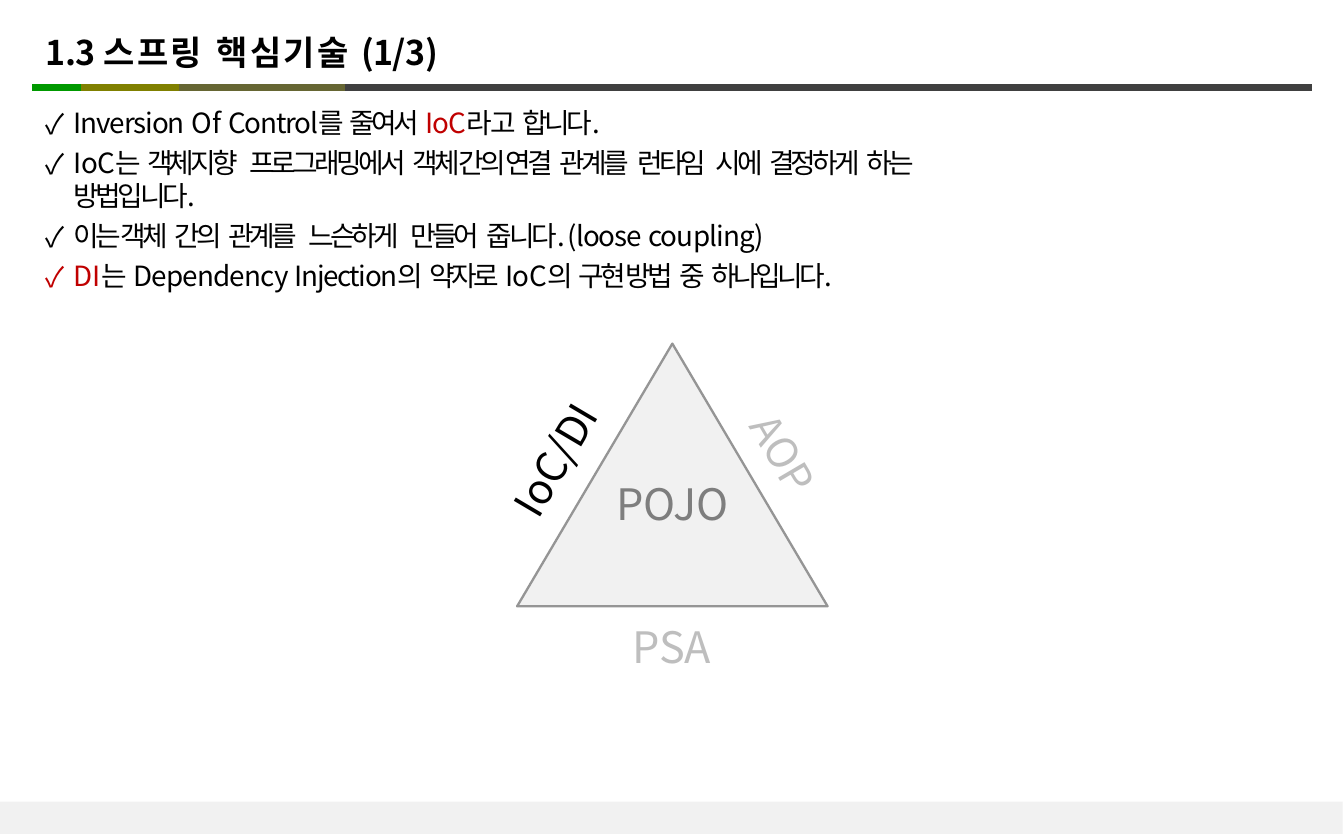
from dataclasses import dataclass
from itertools import pairwise

from lxml import etree
from pptx import Presentation
from pptx.dml.color import RGBColor
from pptx.enum.shapes import MSO_CONNECTOR, MSO_SHAPE
from pptx.enum.text import MSO_ANCHOR, PP_ALIGN
from pptx.oxml.ns import qn
from pptx.util import Cm, Pt

STRAIGHT = MSO_CONNECTOR.STRAIGHT
RECTANGLE = MSO_SHAPE.RECTANGLE
TRIANGLE = MSO_SHAPE.ISOSCELES_TRIANGLE
LEFT, CENTER = PP_ALIGN.LEFT, PP_ALIGN.CENTER
TOP, MIDDLE = MSO_ANCHOR.TOP, MSO_ANCHOR.MIDDLE


@dataclass(frozen=True)
class Theme:
    font: str = "Noto Sans CJK KR"
    text: str = "000000"
    accent: str = "C00000"
    panel: str = "F1F1F1"
    outline: str = "959595"
    core: str = "7E7E7E"
    muted: str = "BEBEBE"
    rule: tuple[str, ...] = ("009900", "808000", "666633", "404040")
    title_size: float = 22
    body_size: float = 18
    label_size: float = 28
    side_size: float = 27


THEME = Theme()


@dataclass(frozen=True)
class Span:
    """Text with letter spacing; gap is the letter spacing of its last space."""
    text: str
    spacing: float = 0
    color: str = THEME.text
    gap: float = 0


@dataclass(frozen=True)
class Label:
    text: str
    center_x: float
    center_y: float
    color: str
    size: float
    rotation: float = 0


PAGE_WIDTH, PAGE_HEIGHT = Pt(870), Pt(540)
RULE_STOPS = (0.74, 1.85, 4.09, 7.87, 29.95)
RULE_Y = 2.0
LABEL_WIDTH, LABEL_HEIGHT = 4.0, 1.5

TITLE = (Span("1.3 ", -0.2), Span("스프링 ", 1.6, gap=3), Span("핵심기술 ", 1.5, gap=1.5),
         Span("(1/3)", -0.3))
BULLETS = (
    (Span("Inversion ", -0.7), Span("Of ", 0.4), Span("Control를 ", -0.8), Span("줄여서 ", -2.3),
     Span("IoC", -0.8, THEME.accent), Span("라고 ", -0.8), Span("합니다.", -2.2)),
    (Span("IoC는 ", -0.3), Span("객체지향 ", -2.4, gap=3), Span("프로그래밍에서 ", -2.4),
     Span("객체 간의 연결 ", -2.3), Span("관계를 ", -2.4, gap=1.5),
     Span("런타임 ", -2.4, gap=1.5), Span("시에 ", -2.2), Span("결정하게 ", -2.4),
     Span("하는 ", -2.3), Span("방법입니다.", -2.2)),
    (Span("이는 객체 ", -2.3), Span("간의 ", -2.2), Span("관계를 ", -2.4, gap=3),
     Span("느슨하게 ", -2.4, gap=3), Span("만들어 ", -2.4, gap=0.5),
     Span("줍니다. ", -2, gap=-2), Span("(loose ", -0.7), Span("coupling)", -0.5)),
    (Span("DI", 0.1, THEME.accent), Span("는 ", 0.1), Span("Dependency ", -0.5),
     Span("Injection의 ", -0.9), Span("약자로 ", -2.3), Span("IoC의 ", -0.3),
     Span("구현 방법 ", -2.3), Span("중 ", -2.2), Span("하나입니다.", -2.3)),
)
LABELS = (
    Label("POJO", 15.36, 11.5, THEME.core, THEME.label_size),
    Label("PSA", 15.34, 14.77, THEME.muted, THEME.label_size),
    Label("IoC/DI", 12.67, 10.49, THEME.text, THEME.side_size, -59.5),
    Label("AOP", 17.9, 10.35, THEME.muted, THEME.side_size, 59.5),
)


def rgb(value: str) -> RGBColor:
    return RGBColor.from_string(value)


def add_run(para, text: str, *, spacing: float, color: str, size: float, bold: bool) -> None:
    run = para.add_run()
    run.text = text
    run.font.name = THEME.font
    run.font.size = Pt(size)
    run.font.bold = bold
    run.font.color.rgb = rgb(color)
    properties = run.font._element
    properties.set("spc", str(round(spacing * 100)))
    etree.SubElement(properties, qn("a:ea"), typeface=THEME.font)


def add_span(para, span: Span, *, size: float, bold: bool) -> None:
    words = span.text.rstrip()
    add_run(para, words, spacing=span.spacing, color=span.color, size=size, bold=bold)
    if words != span.text:
        add_run(para, " ", spacing=span.gap, color=span.color, size=size, bold=bold)


def add_check_mark(para) -> None:
    """Give the paragraph a hanging check mark bullet."""
    properties = para._p.get_or_add_pPr()
    properties.set("marL", str(Cm(0.66)))
    properties.set("indent", str(Cm(-0.64)))
    etree.SubElement(properties, qn("a:buFont"), typeface=THEME.font)
    etree.SubElement(properties, qn("a:buChar"), char="✓")


def add_text(page, paragraphs, left: float, top: float, width: float, height: float, *,
             size: float, bold: bool = False, bullets: bool = False, line: float | None = None,
             before: float = 0, align=LEFT, anchor=TOP, rotation: float = 0) -> None:
    box = page.shapes.add_textbox(Cm(left), Cm(top), Cm(width), Cm(height))
    box.rotation = rotation
    frame = box.text_frame
    frame.word_wrap = True
    frame.vertical_anchor = anchor
    frame.margin_left = frame.margin_right = frame.margin_top = frame.margin_bottom = 0
    for index, spans in enumerate(paragraphs):
        para = frame.add_paragraph() if index else frame.paragraphs[0]
        if bullets:
            add_check_mark(para)
        para.alignment = align
        if line:
            para.line_spacing = Pt(line)
        if index:
            para.space_before = Pt(before)
        for span in spans:
            add_span(para, span, size=size, bold=bold)


def add_label(page, label: Label) -> None:
    add_text(page, ((Span(label.text, color=label.color),),),
             label.center_x - LABEL_WIDTH / 2, label.center_y - LABEL_HEIGHT / 2,
             LABEL_WIDTH, LABEL_HEIGHT, size=label.size, align=CENTER, anchor=MIDDLE,
             rotation=label.rotation)


def add_panel(page, kind, left: float, top: float, width: float, height: float,
              outline: str | None = None) -> None:
    shape = page.shapes.add_shape(kind, Cm(left), Cm(top), Cm(width), Cm(height))
    shape.shadow.inherit = False
    shape.fill.solid()
    shape.fill.fore_color.rgb = rgb(THEME.panel)
    if outline:
        shape.line.color.rgb = rgb(outline)
        shape.line.width = Pt(1.5)
    else:
        shape.line.fill.background()


def add_rule(page) -> None:
    for (start, end), color in zip(pairwise(RULE_STOPS), THEME.rule):
        line = page.shapes.add_connector(STRAIGHT, Cm(start), Cm(RULE_Y), Cm(end), Cm(RULE_Y))
        line.line.color.rgb = rgb(color)
        line.line.width = Pt(5)
        etree.SubElement(line._element.spPr, qn("a:effectLst"))


def main() -> None:
    deck = Presentation()
    deck.slide_width, deck.slide_height = PAGE_WIDTH, PAGE_HEIGHT
    page = deck.slides.add_slide(deck.slide_layouts[6])
    add_panel(page, RECTANGLE, 0, 18.31, 30.66, 0.74)
    add_rule(page)
    add_text(page, (TITLE,), 1.04, 0.73, 22, 1, size=THEME.title_size, bold=True, line=26.4)
    add_text(page, BULLETS, 1.02, 2.41, 21.6, 4.4, size=THEME.body_size, bullets=True,
             line=21.6, before=4.3)
    add_panel(page, TRIANGLE, 11.81, 7.85, 7.09, 6, THEME.outline)
    for label in LABELS:
        add_label(page, label)
    deck.save("out.pptx")


if __name__ == "__main__":
    main()
